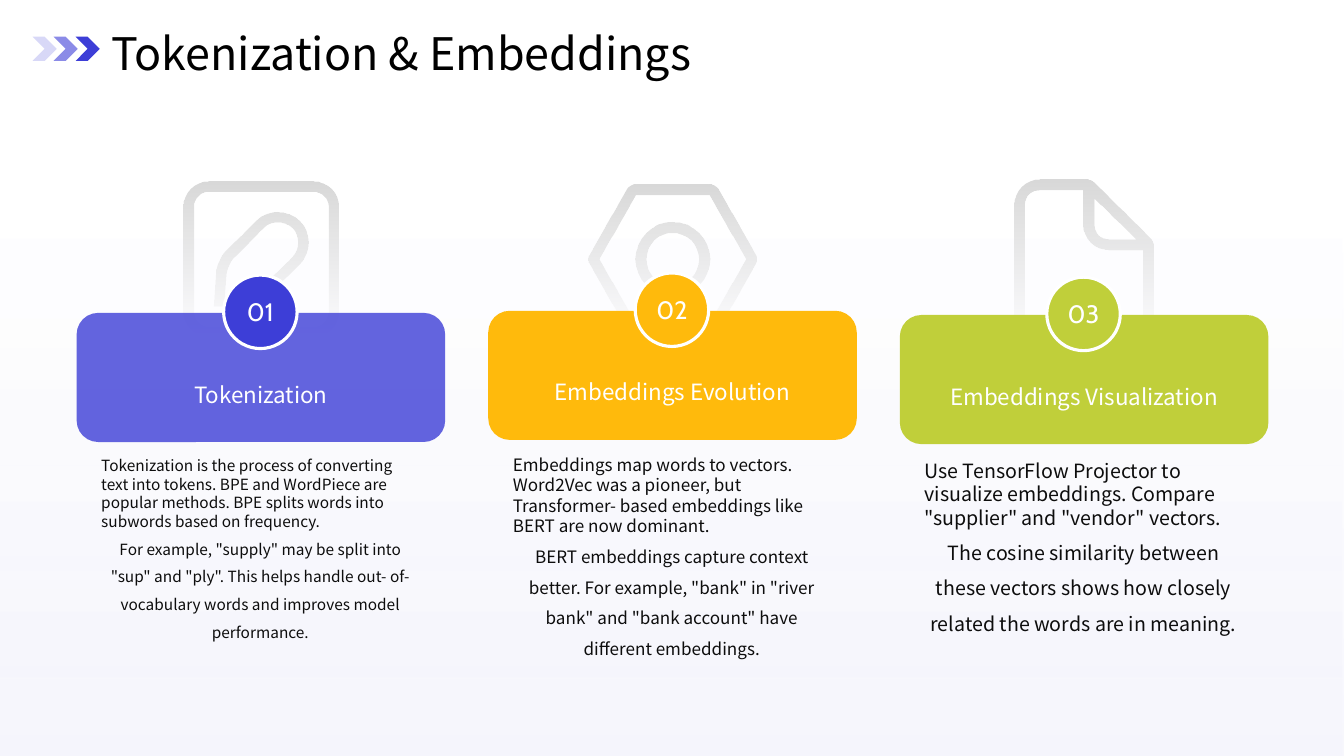
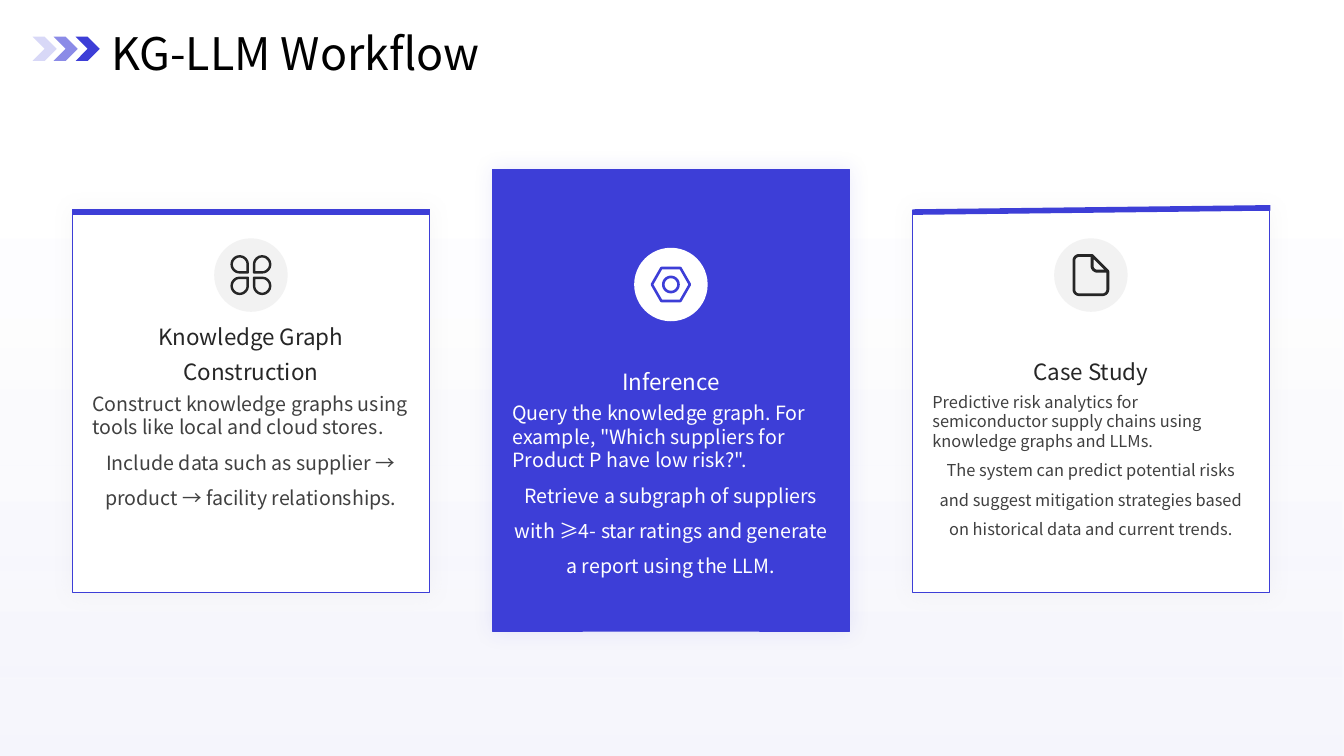
from dataclasses import dataclass
from math import hypot
from typing import NamedTuple

from lxml.etree import SubElement
from pptx import Presentation
from pptx.dml.color import RGBColor
from pptx.enum.shapes import MSO_CONNECTOR as CONN, MSO_SHAPE as SHAPE
from pptx.enum.text import MSO_ANCHOR as ANCHOR, MSO_AUTO_SIZE as AUTO, PP_ALIGN as ALIGN
from pptx.oxml import parse_xml
from pptx.oxml.ns import nsdecls, qn
from pptx.util import Pt

PX = 9525
FONT = "Noto Sans CJK SC"
NUMBER_FONT = "Cabin"
COLORS = {
    "blue": "3D3ED7", "mid_blue": "8B8BE7", "pale_blue": "D8D8F7",
    "amber": "FFBA0C", "lime": "C0CF3A", "white": "FFFFFF", "black": "000000",
    "ink": "0D0D0D", "dark": "262626", "body": "404040",
    "disc": "F2F2F2", "icon_gray": "D9D9D9", "shadow_gray": "A6A6A6",
}


class Box(NamedTuple):
    x: int
    y: int
    w: int
    h: int


class Corner(NamedTuple):
    x: int
    y: int
    cut: int = 0


class Stop(NamedTuple):
    position: int
    color: str
    alpha: int


class Para(NamedTuple):
    text: str
    spacing: float
    align: ALIGN = ALIGN.CENTER


@dataclass
class Icon:
    width: int
    height: int
    contours: list[list[Corner]]


@dataclass
class Topic:
    title: str
    lead: str
    detail: str
    size: float
    color: str
    top: int
    icon: Icon
    alpha: int = 100


@dataclass
class Step:
    title: str
    lead: str
    detail: str
    size: float
    icon: Icon
    icon_width: int
    rise: int = 0
    featured: bool = False


def frame(x: int, y: int, w: int, h: int, cuts: tuple[int, int, int, int]) -> list[Corner]:
    ends = ((x, y), (x + w, y), (x + w, y + h), (x, y + h))
    return [Corner(*end, cut) for end, cut in zip(ends, cuts)]


def ring(cx: int, cy: int, radius: int) -> list[Corner]:
    return frame(cx - radius, cy - radius, 2 * radius, 2 * radius, (radius,) * 4)


def clover_contours() -> list[list[Corner]]:
    contours = []
    for index, (x, y) in enumerate(((0, 0), (225, 0), (225, 215), (0, 215))):
        sharp = (index + 2) % 4
        for inset, inner_cut in ((0, 12), (25, 0)):
            cuts = tuple(inner_cut if k == sharp else 92 - inset for k in range(4))
            side = 185 - 2 * inset
            contours.append(frame(x + inset, y + inset, side, side, cuts))
    return contours


PEN = Icon(1540, 1540, [
    frame(0, 0, 1540, 1540, (250,) * 4),
    frame(105, 105, 1330, 1330, (150,) * 4),
    [Corner(300, 1240), Corner(330, 780, 120), Corner(935, 175, 304),
     Corner(1365, 605, 304), Corner(750, 1220, 120)],
    [Corner(410, 1130), Corner(435, 823, 100), Corner(935, 323, 199),
     Corner(1217, 605, 199), Corner(700, 1122, 100)],
])
NUT = Icon(1700, 1480, [
    [Corner(425, 0, 50), Corner(1275, 0, 50), Corner(1700, 740, 50),
     Corner(1275, 1480, 50), Corner(425, 1480, 50), Corner(0, 740, 50)],
    [Corner(485, 110), Corner(1215, 110), Corner(1575, 740),
     Corner(1215, 1370), Corner(485, 1370), Corner(125, 740)],
    ring(850, 740, 370),
    ring(850, 740, 260),
])
PAGE = Icon(1380, 1580, [
    [Corner(0, 0, 250), Corner(760, 0, 40), Corner(1380, 620, 40),
     Corner(1380, 1580, 250), Corner(0, 1580, 250)],
    [Corner(790, 190), Corner(1200, 590), Corner(790, 590, 140)],
    [Corner(105, 110, 140), Corner(680, 110), Corner(680, 700, 250),
     Corner(1270, 700), Corner(1270, 1480, 140), Corner(105, 1480, 140)],
])
CLOVER = Icon(410, 400, clover_contours())

TOPICS = [
    Topic("Tokenization",
          "Tokenization is the process of converting text into tokens. BPE and WordPiece are "
          "popular methods. BPE splits words into subwords based on frequency.",
          'For example, "supply" may be split into "sup" and "ply". This helps handle out- of- '
          "vocabulary words and improves model performance.",
          11, "blue", 298, PEN, 80),
    Topic("Embeddings Evolution",
          "Embeddings map words to vectors. Word2Vec was a pioneer, but Transformer- based "
          "embeddings like BERT are now dominant.",
          'BERT embeddings capture context better. For example, "bank" in "river bank" and '
          '"bank account" have different embeddings.',
          12.2, "amber", 296, NUT),
    Topic("Embeddings Visualization",
          'Use TensorFlow Projector to visualize embeddings. Compare "supplier" and "vendor" '
          "vectors.",
          "The cosine similarity between these vectors shows how closely related the words are "
          "in meaning.",
          14, "lime", 300, PAGE),
]
STEPS = [
    Step("Knowledge Graph Construction",
         "Construct knowledge graphs using tools like local and cloud stores.",
         "Include data such as supplier → product → facility relationships.",
         14, CLOVER, 39),
    Step("Inference",
         'Query the knowledge graph. For example, "Which suppliers for Product P have low '
         'risk?".',
         "Retrieve a subgraph of suppliers with ≥4- star ratings and generate a report using "
         "the LLM.",
         14, NUT, 39, featured=True),
    Step("Case Study",
         "Predictive risk analytics for semiconductor supply chains using knowledge graphs and "
         "LLMs.",
         "The system can predict potential risks and suggest mitigation strategies based on "
         "historical data and current trends.",
         11.7, PAGE, 35, rise=4),
]


def rgb(color: str) -> RGBColor:
    return RGBColor.from_string(COLORS[color])


def emu(box: Box) -> list[int]:
    return [value * PX for value in box]


def paint(sp, fill: str, line: str | None = None, width: float = 0, alpha: int = 100) -> None:
    sp.shadow.inherit = False
    sp.fill.solid()
    sp.fill.fore_color.rgb = rgb(fill)
    if alpha < 100:
        SubElement(sp.fill.fore_color._xFill[0], qn("a:alpha"), val=str(alpha * 1000))
    if line:
        sp.line.color.rgb = rgb(line)
        sp.line.width = Pt(width)
    else:
        sp.line.fill.background()


def add_gradient(sp, stops: list[Stop], angle: int) -> None:
    sp.fill.background()
    marks = "".join(
        f'<a:gs pos="{stop.position * 1000}"><a:srgbClr val="{COLORS[stop.color]}">'
        f'<a:alpha val="{stop.alpha * 1000}"/></a:srgbClr></a:gs>' for stop in stops)
    grad = parse_xml(f'<a:gradFill {nsdecls("a")} rotWithShape="1"><a:gsLst>{marks}</a:gsLst>'
                     f'<a:lin ang="{angle * 60000}" scaled="0"/></a:gradFill>')
    spPr = sp.element.spPr
    spPr.replace(spPr.find(qn("a:noFill")), grad)


def add_glow(sp, color: str) -> None:
    effects = sp.element.spPr.find(qn("a:effectLst"))
    effects.append(parse_xml(
        f'<a:outerShdw {nsdecls("a")} blurRad="{Pt(15)}" dist="0" dir="0" algn="ctr" '
        f'rotWithShape="0"><a:srgbClr val="{COLORS[color]}"><a:alpha val="10000"/>'
        f'</a:srgbClr></a:outerShdw>'))


def add_preset(s, kind: SHAPE, box: Box, fill: str, line: str | None = None,
               width: float = 0, alpha: int = 100):
    sp = s.shapes.add_shape(kind, *emu(box))
    paint(sp, fill, line, width, alpha)
    return sp


def set_text(tf, paras: list[Para], size: float, color: str, anchor: ANCHOR,
             inset: bool = False, font: str = FONT) -> None:
    tf.auto_size = AUTO.NONE
    tf.vertical_anchor = anchor
    if not inset:
        tf.margin_left = tf.margin_right = tf.margin_top = tf.margin_bottom = 0
    tf.text = "\n".join(para.text for para in paras)
    for p, para in zip(tf.paragraphs, paras):
        p.alignment = para.align
        p.line_spacing = para.spacing
        for r in p.runs:
            r.font.size = Pt(size)
            r.font.name = font
            r.font.color.rgb = rgb(color)
            SubElement(r.font._element, qn("a:ea"), typeface=font)


def add_text(s, box: Box, paras: list[Para], size: float, color: str,
             anchor: ANCHOR = ANCHOR.TOP, inset: bool = False) -> None:
    tf = s.shapes.add_textbox(*emu(box)).text_frame
    tf.word_wrap = True
    set_text(tf, paras, size, color, anchor, inset)


def story(item: Topic | Step) -> list[Para]:
    return [Para(item.lead, 1.0, ALIGN.LEFT), Para(item.detail, 1.5)]


def outline(corners: list[Corner]) -> list[tuple[float, float]]:
    points = []
    for index, (x, y, cut) in enumerate(corners):
        if not cut:
            points.append((x, y))
            continue
        ends = []
        for other in (corners[index - 1], corners[(index + 1) % len(corners)]):
            dx, dy = other.x - x, other.y - y
            ends.append((cut * dx / hypot(dx, dy), cut * dy / hypot(dx, dy)))
        (ax, ay), (bx, by) = ends
        for t in (k / 8 for k in range(9)):
            start = (1 - t) ** 3 + 3 * 0.45 * t * (1 - t) ** 2
            end = t ** 3 + 3 * 0.45 * t ** 2 * (1 - t)
            points.append((x + start * ax + end * bx, y + start * ay + end * by))
    return points


def add_icon(s, icon: Icon, cx: float, cy: float, width: int, color: str):
    scale = width * PX / icon.width
    first, *others = [outline(contour) for contour in icon.contours]
    builder = s.shapes.build_freeform(*first[0], scale=scale)
    builder.add_line_segments(first[1:], close=True)
    for points in others:
        builder.move_to(*points[0])
        builder.add_line_segments(points[1:], close=True)
    sp = builder.convert_to_shape(round(cx * PX - icon.width * scale / 2),
                                  round(cy * PX - icon.height * scale / 2))
    paint(sp, color)
    return sp


def add_slide(prs, title: str):
    s = prs.slides.add_slide(prs.slide_layouts[5])
    heading = s.shapes.title
    heading.left, heading.top, heading.width, heading.height = emu(Box(106, 22, 1123, 45))
    set_text(heading.text_frame, [Para(title, 1.2, ALIGN.LEFT)], 32, "black", ANCHOR.MIDDLE)
    backdrop = add_preset(s, SHAPE.RECTANGLE, Box(0, 0, 1280, 720), "white")
    add_gradient(backdrop, [Stop(0, "pale_blue", 25), Stop(71, "white", 27)], 270)
    heading.element.addprevious(backdrop.element)
    for index, color in enumerate(("pale_blue", "mid_blue", "blue")):
        add_preset(s, SHAPE.CHEVRON, Box(31 + 20 * index + index // 2, 35, 23, 23), color)
    return s


def draw_topic(s, index: int, topic: Topic) -> None:
    x, y = 73 + 392 * index, topic.top
    icon = add_icon(s, topic.icon, x + 175.5, 247, round(topic.icon.width * 0.096), "icon_gray")
    add_gradient(icon, [Stop(0, "icon_gray", 100), Stop(100, "icon_gray", 0)], 90)
    add_text(s, Box(x + 14, y + 132, 322, 223), story(topic), topic.size, "ink", inset=True)
    add_preset(s, SHAPE.ROUNDED_RECTANGLE, Box(x, y, 351, 123), topic.color, alpha=topic.alpha)
    badge = add_preset(s, SHAPE.OVAL, Box(x + 140, y - 36, 70, 70), topic.color, "white", 2.25)
    badge.text_frame.word_wrap = False
    set_text(badge.text_frame, [Para(f"{index + 1:02}", 1.0)], 18, "white", ANCHOR.MIDDLE,
             True, NUMBER_FONT)
    add_text(s, Box(x + 18, y + 31, 315, 85), [Para(topic.title, 1.3)], 16, "white",
             ANCHOR.MIDDLE, True)


def draw_step(s, index: int, step: Step) -> None:
    x = 69 + 400 * index
    hero = step.featured
    shift = 9 if hero else 0
    card = Box(x, 161, 340, 440) if hero else Box(x, 200, 340, 364)
    sp = add_preset(s, SHAPE.RECTANGLE, card, "blue" if hero else "white", "blue", 0.25)
    add_glow(sp, "blue" if hero else "shadow_gray")
    if not hero:
        bar = s.shapes.add_connector(CONN.STRAIGHT, *emu(Box(x, 202, x + 341, 202 - step.rise)))
        bar.line.color.rgb = rgb("blue")
        bar.line.width = Pt(4)
        SubElement(bar.element.spPr, qn("a:effectLst"))
    add_preset(s, SHAPE.OVAL, Box(x + 135, 227 + shift, 70, 70), "white" if hero else "disc")
    add_icon(s, step.icon, x + 170, 262 + shift, step.icon_width, "blue" if hero else "dark")
    add_text(s, Box(x + 19, 307 + shift, 302, 60), [Para(step.title, 1.3)], 16,
             "white" if hero else "dark", ANCHOR.BOTTOM)
    add_text(s, Box(x + 19, 373 + shift, 302, 215 if hero else 149), story(step), step.size,
             "white" if hero else "body")


def main() -> None:
    prs = Presentation()
    prs.slide_width, prs.slide_height = 1280 * PX, 720 * PX
    for title, draw, items in (("Tokenization & Embeddings", draw_topic, TOPICS),
                               ("KG-LLM Workflow", draw_step, STEPS)):
        s = add_slide(prs, title)
        for index, item in enumerate(items):
            draw(s, index, item)
    prs.save("out.pptx")


if __name__ == "__main__":
    main()
